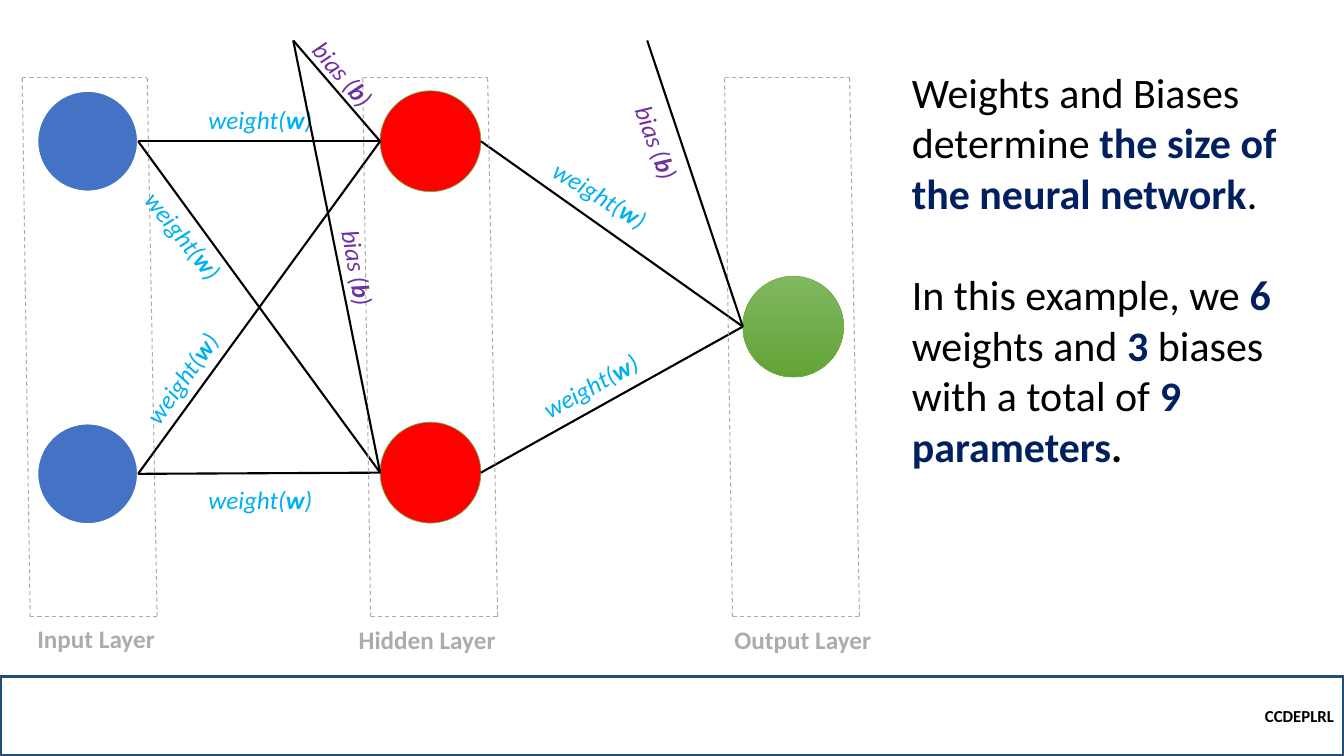
from dataclasses import dataclass
from itertools import product

from lxml.etree import SubElement
from pptx import Presentation
from pptx.dml.color import RGBColor
from pptx.enum.dml import MSO_LINE_DASH_STYLE as DASH
from pptx.enum.shapes import MSO_CONNECTOR, MSO_SHAPE
from pptx.enum.text import MSO_ANCHOR, MSO_AUTO_SIZE, PP_ALIGN
from pptx.oxml.ns import qn
from pptx.util import Cm, Pt


@dataclass(frozen=True)
class Theme:
    font: str = "Calibri"
    black: str = "000000"
    white: str = "FFFFFF"
    navy: str = "002060"
    footer: str = "1F4E79"
    input: str = "4472C4"
    hidden: str = "FF0000"
    output: tuple = ("81B861", "62A336")
    neuron_edge: str = "70AD47"
    layer: str = "AFABAB"
    weight: str = "00B0F0"
    bias: str = "7030A0"
    body_size: int = 30
    label_size: int = 18
    footer_size: int = 12


THEME = Theme()
DIAMETER = 2.54
LABEL_HEIGHT = 1.02
FRAME_CORNERS = [(0, 1.96), (3.15, 1.96), (3.4, 15.54), (0.2, 15.54)]


def rgb(color):
    return RGBColor.from_string(color)


def add_run(p, text, size=THEME.label_size, color=THEME.black, bold=False, italic=False):
    r = p.add_run()
    r.text = text
    r.font.name = THEME.font
    r.font.size = Pt(size)
    r.font.color.rgb = rgb(color)
    r.font.bold = bold
    r.font.italic = italic


def add_textbox(shapes, left, top, width, height, wrap=True, rotation=0):
    box = shapes.add_textbox(Cm(left), Cm(top), Cm(width), Cm(height))
    box.rotation = rotation
    tf = box.text_frame
    tf.word_wrap = wrap
    tf.auto_size = MSO_AUTO_SIZE.SHAPE_TO_FIT_TEXT
    return tf


def add_line(shapes, start, end, color=THEME.black, width=1.5, dash=None):
    line = shapes.add_connector(MSO_CONNECTOR.STRAIGHT, *map(Cm, start + end))
    line.line.color.rgb = rgb(color)
    line.line.width = Pt(width)
    if dash:
        line.line.dash_style = dash
    SubElement(line._element.spPr, qn("a:effectLst"))


def add_neuron(shapes, left, top, fill, edge=THEME.neuron_edge, edge_width=0.5):
    """Draw a neuron and return its left and right connection points in cm."""
    sp = shapes.add_shape(MSO_SHAPE.OVAL, Cm(left), Cm(top), Cm(DIAMETER), Cm(DIAMETER))
    sp.shadow.inherit = False
    if isinstance(fill, tuple):
        sp.fill.gradient()
        sp.fill.gradient_angle = 270
        for stop, color in zip(sp.fill.gradient_stops, fill):
            stop.color.rgb = rgb(color)
    else:
        sp.fill.solid()
        sp.fill.fore_color.rgb = rgb(fill)
    sp.line.color.rgb = rgb(edge)
    sp.line.width = Pt(edge_width)
    middle = top + DIAMETER / 2
    return (left, middle), (left + DIAMETER, middle)


def add_layer_frame(shapes, left):
    group = shapes.add_group_shape()
    corners = [(left + x, y) for x, y in FRAME_CORNERS]
    for start, end in zip(corners, corners[1:] + corners[:1]):
        add_line(group.shapes, start, end, THEME.layer, 0.75, DASH.DASH)


def add_symbol_label(shapes, left, top, rotation, width, word, symbol, color):
    """Write an italic label such as weight(w), with the symbol in bold."""
    tf = add_textbox(shapes, left, top, width, LABEL_HEIGHT, wrap=False, rotation=rotation)
    for text, bold in [(word + "(", False), (symbol, True), (")", False)]:
        add_run(tf.paragraphs[0], text, color=color, bold=bold, italic=True)


def add_footer(shapes, text):
    sp = shapes.add_shape(MSO_SHAPE.RECTANGLE, 0, Cm(17.04), Cm(33.87), Cm(2.01))
    sp.shadow.inherit = False
    sp.fill.background()
    sp.line.color.rgb = rgb(THEME.footer)
    sp.line.width = Pt(2.25)
    tf = sp.text_frame
    tf.vertical_anchor = MSO_ANCHOR.MIDDLE
    p = tf.paragraphs[0]
    p.alignment = PP_ALIGN.RIGHT
    add_run(p, text, size=THEME.footer_size, bold=True)


def add_summary(shapes):
    tf = add_textbox(shapes, 22.73, 1.55, 10.19, 10.52)
    first = tf.paragraphs[0]
    second = tf.add_paragraph()
    second.space_before = Pt(36.6)
    plain = {"size": THEME.body_size}
    strong = {"size": THEME.body_size, "color": THEME.navy, "bold": True}
    add_run(first, "Weights and Biases determine ", **plain)
    add_run(first, "the size of the neural network", **strong)
    add_run(first, ".", **plain)
    add_run(second, "In this example, we ", **plain)
    add_run(second, "6", **strong)
    add_run(second, " weights and ", **plain)
    add_run(second, "3", **strong)
    add_run(second, " biases with a total of ", **plain)
    add_run(second, "9 parameters", **strong)
    add_run(second, ".", size=THEME.body_size, bold=True)


def add_network(shapes):
    inputs = [add_neuron(shapes, 0.94, top, THEME.input, THEME.white, 1.5)
              for top in (2.29, 10.67)]
    hidden = [add_neuron(shapes, 9.58, top, THEME.hidden) for top in (2.29, 10.64)]
    output = [add_neuron(shapes, 18.72, 6.96, THEME.output)]

    for sources, targets in [(inputs, hidden), (hidden, output)]:
        for (_, start), (end, _) in product(sources, targets):
            add_line(shapes, start, end)

    for left, label_left, label_top, width, name in [
        (0.56, 0.69, 15.57, 3.51, "Input Layer"),
        (9.14, 8.79, 15.6, 4.11, "Hidden Layer"),
        (18.26, 18.26, 15.6, 4.11, "Output Layer"),
    ]:
        add_layer_frame(shapes, left)
        tf = add_textbox(shapes, label_left, label_top, width, LABEL_HEIGHT)
        add_run(tf.paragraphs[0], name, color=THEME.layer, bold=True)

    for left, top, rotation in [
        (5, 2.51, 0), (3.05, 5.46, 51.1), (5, 12.07, 0),
        (3, 8.99, 305.5), (13.56, 4.42, 31.5), (13.31, 9.19, 331.1),
    ]:
        add_symbol_label(shapes, left, top, rotation, 3.2, "weight", "w", THEME.weight)

    biases = shapes.add_group_shape().shapes
    for start, targets in [((7.39, 1.02), hidden), ((16.31, 1.02), output)]:
        for end, _ in targets:
            add_line(biases, start, end)
    for left, top, rotation in [(7.8, 6.25, 79.4), (15.34, 3.1, 69.4), (7.44, 1.37, 49.2)]:
        add_symbol_label(biases, left, top, rotation, 2.44, "bias ", "b", THEME.bias)


def main():
    prs = Presentation()
    prs.slide_width, prs.slide_height = Cm(33.87), Cm(19.05)
    s = prs.slides.add_slide(prs.slide_layouts[6])
    add_footer(s.shapes, "CCDEPLRL")
    add_network(s.shapes)
    add_summary(s.shapes)
    prs.save("out.pptx")


if __name__ == "__main__":
    main()
